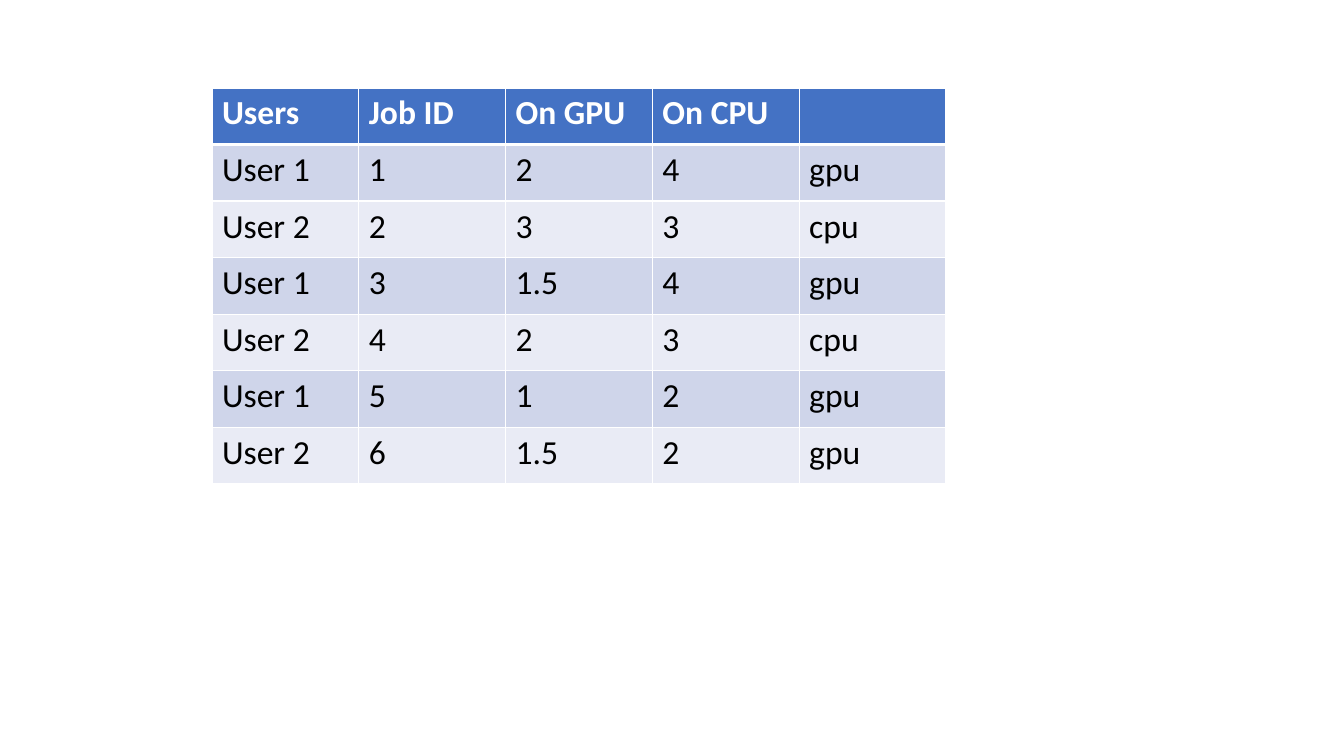
from pptx import Presentation
from pptx.dml.color import RGBColor
from pptx.oxml import parse_xml
from pptx.oxml.ns import nsdecls
from pptx.util import Emu, Pt

SCALE = 914400 / 100.8
COLORS = {
    "header": "4472C4",
    "odd_row": "CFD5EA",
    "even_row": "E9EBF5",
    "border": "FFFFFF",
    "header_text": "FFFFFF",
    "body_text": "000000",
}
JOBS = [
    ["Users", "Job ID", "On GPU", "On CPU", ""],
    ["User 1", "1 ", "2", "4", "gpu"],
    ["User 2", "2", "3", "3", "cpu"],
    ["User 1", "3", "1.5", "4", "gpu"],
    ["User 2", "4", "2", "3", "cpu"],
    ["User 1", "5", "1", "2", "gpu"],
    ["User 2", "6", "1.5", "2", "gpu"],
]
LEFT, TOP, WIDTH, HEIGHT = 212, 88, 734, 396


def px(pixels):
    """Turn pixels into EMU."""
    return Emu(round(pixels * SCALE))


def set_borders(cell, widths):
    """Draw the cell's left, right, top and bottom borders, widths in points."""
    properties = cell._tc.get_or_add_tcPr()
    for index, (side, width) in enumerate(zip("LRTB", widths)):
        line = parse_xml(
            f'<a:ln{side} {nsdecls("a")} w="{Pt(width)}"><a:solidFill>'
            f'<a:srgbClr val="{COLORS["border"]}"/></a:solidFill></a:ln{side}>'
        )
        properties.insert(index, line)


presentation = Presentation()
presentation.slide_width = px(1344)
presentation.slide_height = px(756)
slide = presentation.slides.add_slide(presentation.slide_layouts[6])

jobs_table = slide.shapes.add_table(
    len(JOBS), len(JOBS[0]), px(LEFT), px(TOP), px(WIDTH), px(HEIGHT)
).table

for row_index, job in enumerate(JOBS):
    is_header = row_index == 0
    if is_header:
        fill_name = "header"
    else:
        fill_name = "odd_row" if row_index % 2 else "even_row"
    top_width = 3 if row_index == 1 else 1
    bottom_width = 3 if is_header else 1

    for column_index, text in enumerate(job):
        cell = jobs_table.cell(row_index, column_index)
        cell.fill.solid()
        cell.fill.fore_color.rgb = RGBColor.from_string(COLORS[fill_name])
        set_borders(cell, (1, 1, top_width, bottom_width))
        if text:
            run = cell.text_frame.paragraphs[0].add_run()
            run.text = text
            run.font.name = "Calibri"
            run.font.size = Pt(24)
            run.font.bold = is_header
            text_color = COLORS["header_text" if is_header else "body_text"]
            run.font.color.rgb = RGBColor.from_string(text_color)

presentation.save("out.pptx")
